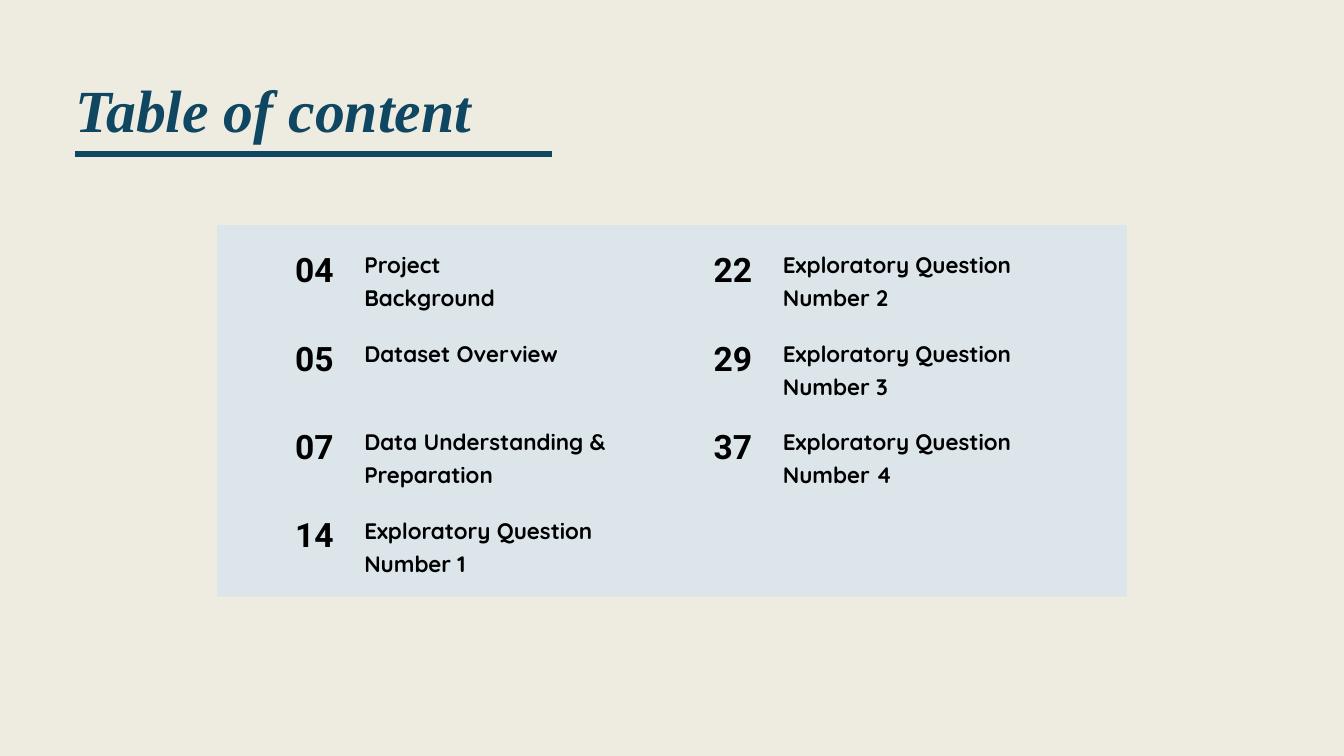
from pptx import Presentation
from pptx.dml.color import RGBColor
from pptx.enum.shapes import MSO_CONNECTOR, MSO_SHAPE
from pptx.enum.text import MSO_AUTO_SIZE
from pptx.oxml.ns import qn
from pptx.util import Pt
from lxml import etree

RECTANGLE = MSO_SHAPE.RECTANGLE
STRAIGHT = MSO_CONNECTOR.STRAIGHT
NO_AUTOFIT = MSO_AUTO_SIZE.NONE

COLORS = {
    "background": "EEECE1",
    "panel": "DBE5EA",
    "title": "0F4662",
    "entry": "000000",
}
TITLE = {"name": "Times New Roman", "size": Pt(64), "bold": True, "italic": True}
PAGE = {"name": "Roboto", "size": Pt(36), "bold": True}
TOPIC = {"name": "Quicksand", "size": Pt(24), "bold": True}


def rgb(key):
    return RGBColor.from_string(COLORS[key])


def add_text(text, left, top, width, height, spacing, style, color):
    box = slide.shapes.add_textbox(Pt(left), Pt(top), Pt(width), Pt(height))
    frame = box.text_frame
    frame_format = {"word_wrap": True, "auto_size": NO_AUTOFIT, "margin_left": 0,
                    "margin_top": 0, "margin_right": 0, "margin_bottom": 0}
    for name, value in frame_format.items():
        setattr(frame, name, value)
    paragraph = frame.paragraphs[0]
    paragraph.line_spacing = spacing
    run = paragraph.add_run()
    run.text = text
    for name, value in style.items():
        setattr(run.font, name, value)
    run.font.color.rgb = rgb(color)


prs = Presentation()
prs.slide_width, prs.slide_height = Pt(1440), Pt(810)
slide = prs.slides.add_slide(prs.slide_layouts[6])
slide.background.fill.solid()
slide.background.fill.fore_color.rgb = rgb("background")

# Panel behind the entries
panel = slide.shapes.add_shape(RECTANGLE, Pt(232.5), Pt(241.2), Pt(975), Pt(398.2))
panel.shadow.inherit = False
panel.fill.solid()
panel.fill.fore_color.rgb = rgb("panel")
panel.line.fill.background()

# Title and its underline
add_text("Table of content", 80.6, 47.5, 633.6, 86.4, 1.4, TITLE, "title")
underline = slide.shapes.add_connector(STRAIGHT, Pt(80.6), Pt(164.9), Pt(591.8), Pt(164.9))
underline.line.color.rgb = rgb("title")
underline.line.width = Pt(6)
etree.SubElement(underline._element.spPr, qn("a:effectLst"))

# Entries by column: page, topic, topic width
columns = [
    [
        ("04", "Project Background", 209.5),
        ("05", "Dataset Overview", 209.5),
        ("07", "Data Understanding & Preparation", 319.7),
        ("14", "Exploratory Question Number 1", 319.7),
    ],
    [
        ("22", "Exploratory Question Number 2", 254.9),
        ("29", "Exploratory Question Number 3", 285.1),
        ("37", "Exploratory Question Number 4", 254.9),
    ],
]
for column, entries in enumerate(columns):
    left = 316.1 + column * 448.5
    for row, (page, topic, topic_width) in enumerate(entries):
        top = 256.4 + row * 94.8
        add_text(page, left, top, 51.1, 43.9, 1.24, PAGE, "entry")
        add_text(topic, left + 74.2, top + 6.5, topic_width, 64.8, 1.23, TOPIC, "entry")

prs.save("out.pptx")
